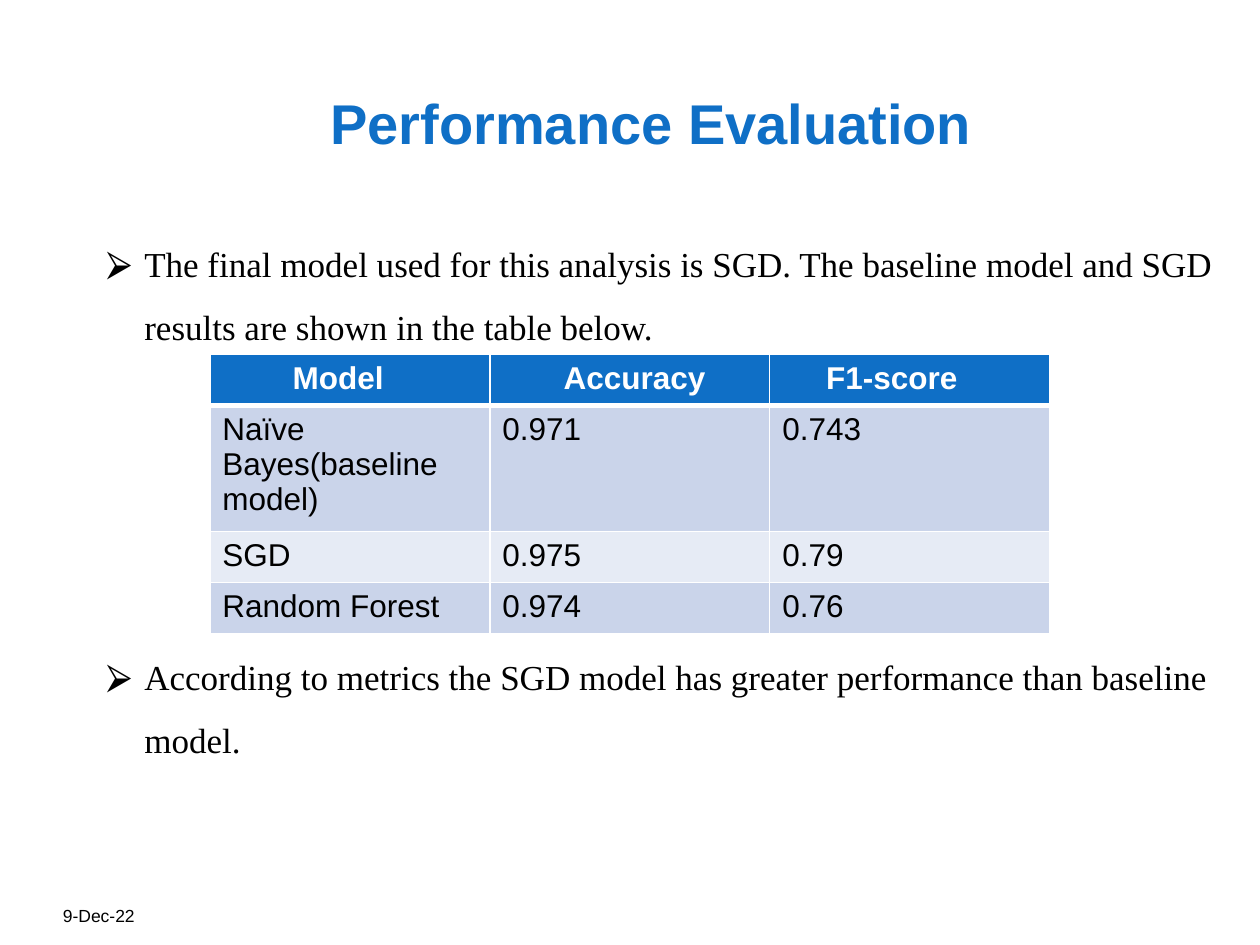
from lxml import etree
from pptx import Presentation
from pptx.dml.color import RGBColor
from pptx.enum.text import MSO_ANCHOR, PP_ALIGN
from pptx.oxml.ns import qn
from pptx.util import Cm, Pt

BOTTOM, TOP = MSO_ANCHOR.BOTTOM, MSO_ANCHOR.TOP
LEFT, CENTER = PP_ALIGN.LEFT, PP_ALIGN.CENTER
HEADING, BODY = "Arial", "Times New Roman"
BLUE, BLACK, WHITE = "0F6FC6", "000000", "FFFFFF"
BANDS = ("CAD4EA", "E6EBF5")

HEADERS = ("Model", "Accuracy", "F1-score")
HEADER_INDENTS = (1.67, 1.49, 1.14)
RESULTS = (
    ("Naïve Bayes(baseline model)", "0.971", "0.743"),
    ("SGD", "0.975", "0.79"),
    ("Random Forest", "0.974", "0.76"),
)
ROW_HEIGHTS = (1.03, 2.4, 1.03, 1.03)


def color(hex_string):
    return RGBColor.from_string(hex_string)


class SlideBuilder:
    def __init__(self, slide):
        self.slide = slide

    def style(self, paragraph, font, size, fill, bold=False):
        paragraph.font.name = font
        paragraph.font.size = Pt(size)
        paragraph.font.color.rgb = color(fill)
        paragraph.font.bold = bold

    def text(self, words, left, top, width, height, font, size, fill=BLACK,
             bold=False, anchor=BOTTOM, align=LEFT, insets=(0, 0)):
        """Add a one-paragraph text box; insets are horizontal and vertical."""
        frame = self.slide.shapes.add_textbox(
            Cm(left), Cm(top), Cm(width), Cm(height)).text_frame
        frame.word_wrap = True
        frame.vertical_anchor = anchor
        frame.margin_left = frame.margin_right = Cm(insets[0])
        frame.margin_top = frame.margin_bottom = Cm(insets[1])
        paragraph = frame.paragraphs[0]
        paragraph.text = words
        paragraph.alignment = align
        self.style(paragraph, font, size, fill, bold)
        return paragraph

    def bullet(self, words, top):
        paragraph = self.text(words, 1.9, top, 22.86, 3.4, BODY, 20,
                              anchor=TOP, insets=(0.25, 0.13))
        paragraph.line_spacing = 1.5
        props = paragraph._p.get_or_add_pPr()
        props.set("marL", str(Cm(0.76)))
        props.set("indent", str(Cm(-0.76)))
        bullet_color = etree.SubElement(props, qn("a:buClr"))
        etree.SubElement(bullet_color, qn("a:srgbClr"), val=BLACK)
        etree.SubElement(props, qn("a:buFont"), typeface=HEADING)
        etree.SubElement(props, qn("a:buChar"), char="⮚")

    def borders(self, cell, bottom):
        props = cell._tc.get_or_add_tcPr()
        for side, width in (("L", 1), ("R", 1), ("T", 1), ("B", bottom)):
            line = etree.SubElement(props, qn(f"a:ln{side}"), w=str(Pt(width)))
            solid = etree.SubElement(line, qn("a:solidFill"))
            etree.SubElement(solid, qn("a:srgbClr"), val=WHITE)

    def cell(self, cell, words, fill, font_color, bold=False, bottom=1):
        self.borders(cell, bottom)
        cell.fill.solid()
        cell.fill.fore_color.rgb = color(fill)
        cell.text = words
        self.style(cell.text_frame.paragraphs[0], HEADING, 18, font_color, bold)

    def table(self, left, top, width):
        table = self.slide.shapes.add_table(
            len(RESULTS) + 1, len(HEADERS), Cm(left), Cm(top),
            Cm(width), Cm(sum(ROW_HEIGHTS))).table
        for row, height in zip(table.rows, ROW_HEIGHTS):
            row.height = Cm(height)
        for col, (header, indent) in enumerate(zip(HEADERS, HEADER_INDENTS)):
            header_cell = table.cell(0, col)
            self.cell(header_cell, header, BLUE, WHITE, bold=True, bottom=3)
            header_cell.margin_left = Cm(indent)
        for row, result in enumerate(RESULTS):
            for col, value in enumerate(result):
                self.cell(table.cell(row + 1, col), value, BANDS[row % 2], BLACK)


def main():
    deck = Presentation()
    deck.slide_width, deck.slide_height = Cm(25.4), Cm(19.05)
    builder = SlideBuilder(deck.slides.add_slide(deck.slide_layouts[6]))
    builder.text("Performance Evaluation", 1.7, 0.08, 22.86, 3.18, HEADING, 32,
                 BLUE, bold=True, align=CENTER, insets=(0, 0.13))
    builder.bullet("The final model used for this analysis is SGD. The baseline "
                   "model and SGD results are shown in the table below.", 4.34)
    builder.bullet("According to metrics the SGD model has greater performance "
                   "than baseline model.", 12.67)
    builder.text("9-Dec-22", 1.27, 17.65, 5.92, 1.02, HEADING, 10)
    builder.table(4.23, 7.14, 16.93)
    deck.save("out.pptx")


if __name__ == "__main__":
    main()
